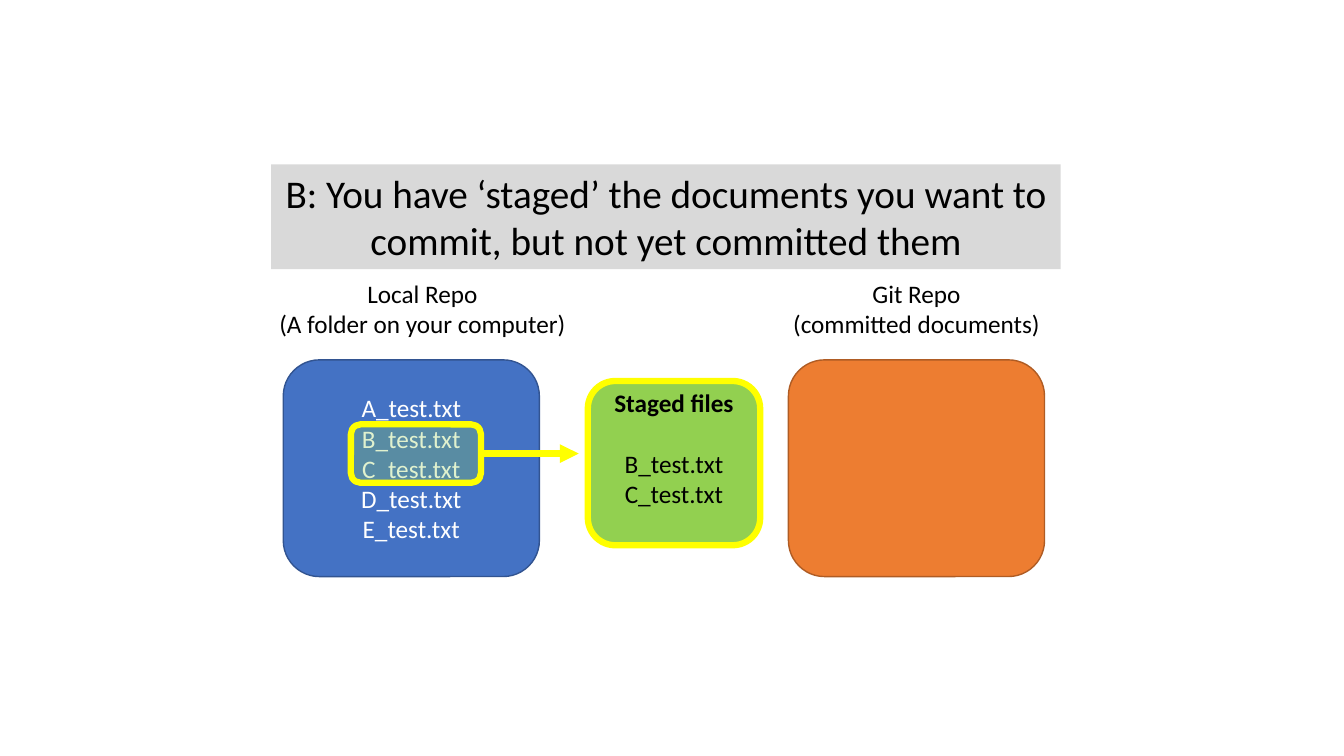
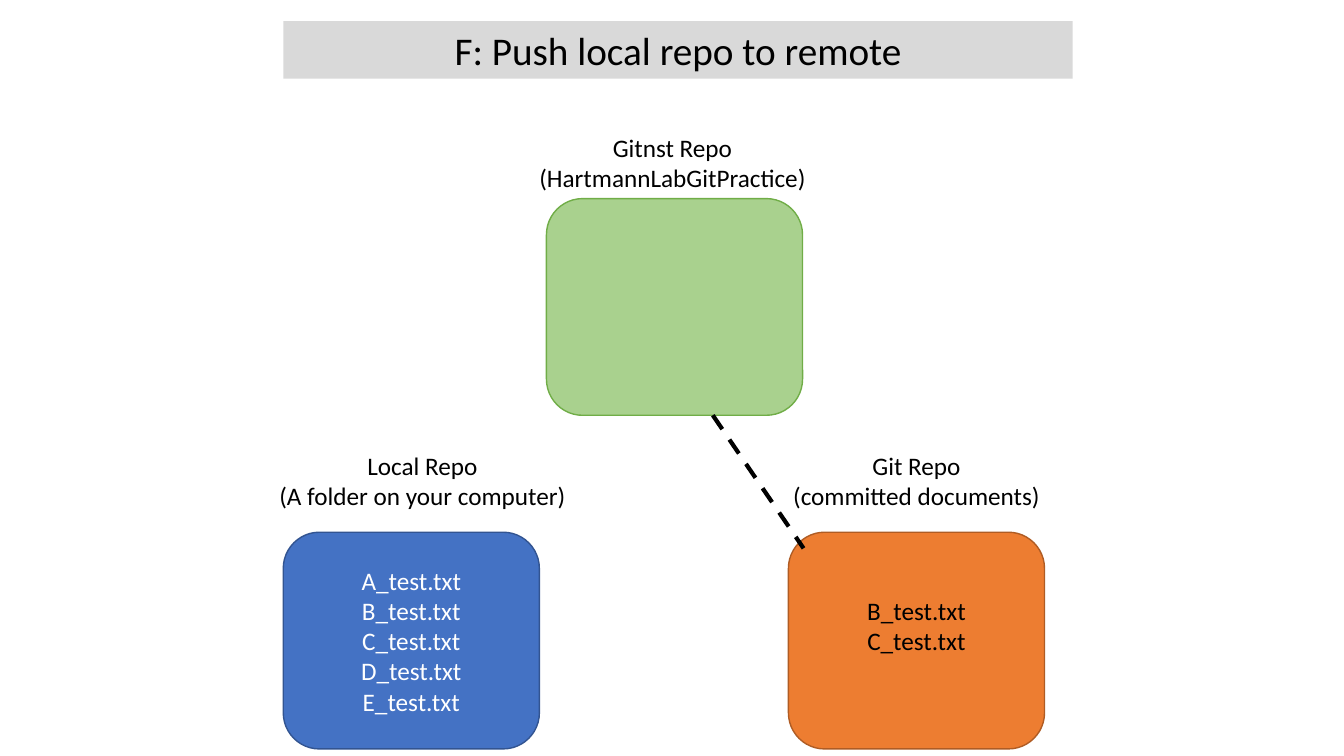
from dataclasses import dataclass

from lxml import etree
from pptx import Presentation
from pptx.dml.color import RGBColor
from pptx.enum.dml import MSO_LINE
from pptx.enum.shapes import MSO_CONNECTOR, MSO_SHAPE
from pptx.enum.text import MSO_ANCHOR, MSO_AUTO_SIZE, PP_ALIGN
from pptx.oxml.ns import qn
from pptx.util import Inches, Pt

ROUNDED = MSO_SHAPE.ROUNDED_RECTANGLE
STRAIGHT = MSO_CONNECTOR.STRAIGHT
DASH = MSO_LINE.DASH
CENTER = PP_ALIGN.CENTER
TOP, MIDDLE = MSO_ANCHOR.TOP, MSO_ANCHOR.MIDDLE
FIXED = MSO_AUTO_SIZE.NONE
TITLE_ONLY = 5


@dataclass(frozen=True)
class Theme:
    font: str = "Calibri"
    title_size: int = 28
    body_size: int = 18
    thin: float = 1
    dashed: float = 3
    thick: float = 4.5
    line_height: float = 22
    text: str = "000000"
    light_text: str = "FFFFFF"
    band: str = "D9D9D9"
    local: str = "4472C4"
    local_edge: str = "325491"
    git: str = "ED7D31"
    git_edge: str = "AF5C24"
    remote: str = "A9D18E"
    remote_edge: str = "70AD47"
    staged: str = "92D050"
    highlight: str = "FFFF00"


THEME = Theme()
REPO_W, REPO_H = 2.54, 2.15
LABEL_W, LABEL_H = 3.1, 0.71
LOCAL_X, GIT_X = 2.81, 7.82
LOCAL_FILES = [f"{letter}_test.txt" for letter in "ABCDE"]
CHOSEN_FILES = LOCAL_FILES[1:3]


def rgb(value):
    return RGBColor.from_string(value)


def write(tf, lines, size=THEME.body_size, color=THEME.text, anchor=TOP, bold_first=False,
          gap_first=0, lift=0):
    """Fill a frame with centred lines; lift raises the text area by that many points."""
    tf.word_wrap = True
    tf.auto_size = FIXED
    tf.vertical_anchor = anchor
    tf.margin_left = tf.margin_right = Inches(0.1)
    tf.margin_top, tf.margin_bottom = Inches(0.05), Inches(0.05) + Pt(lift)
    for i, line in enumerate(lines):
        p = tf.add_paragraph() if i else tf.paragraphs[0]
        p.alignment = CENTER
        p.space_after = Pt(0 if i else gap_first)
        r = p.add_run()
        r.text = line
        r.font.name = THEME.font
        r.font.size = Pt(size)
        r.font.bold = bold_first and i == 0
        r.font.color.rgb = rgb(color)


class Deck:
    def __init__(self):
        self.prs = Presentation()
        self.prs.slide_width, self.prs.slide_height = Inches(13.33), Inches(7.5)
        self.s = None

    def slide(self, title, left, top, height):
        self.s = self.prs.slides.add_slide(self.prs.slide_layouts[TITLE_ONLY])
        sp = self.s.shapes.title
        sp.left, sp.top = Inches(left), Inches(top)
        sp.width, sp.height = Inches(7.83), Inches(height)
        sp.fill.solid()
        sp.fill.fore_color.rgb = rgb(THEME.band)
        write(sp.text_frame, [title], size=THEME.title_size)

    def label(self, left, top, *lines):
        sp = self.s.shapes.add_textbox(Inches(left), Inches(top), Inches(LABEL_W), Inches(LABEL_H))
        write(sp.text_frame, lines)

    def box(self, left, top, width, height, fill, edge, weight=THEME.thin, opacity=None,
            lines=(), **text_format):
        sp = self.s.shapes.add_shape(ROUNDED, Inches(left), Inches(top),
                                     Inches(width), Inches(height))
        sp.shadow.inherit = False
        sp.fill.solid()
        sp.fill.fore_color.rgb = rgb(fill)
        sp.line.color.rgb = rgb(edge)
        sp.line.width = Pt(weight)
        if opacity is not None:
            color = sp.fill._xPr.find(qn("a:solidFill"))[0]
            etree.SubElement(color, qn("a:alpha")).set("val", str(opacity * 1000))
        write(sp.text_frame, lines, anchor=MIDDLE, **text_format)

    def repo(self, left, top, fill, edge, **text):
        self.box(left, top, REPO_W, REPO_H, fill, edge, **text)

    def local_and_git(self, top, committed=()):
        """Draw the two labelled repositories that every slide shows."""
        self.repo(LOCAL_X, top, THEME.local, THEME.local_edge,
                  lines=LOCAL_FILES, color=THEME.light_text)
        self.repo(GIT_X, top, THEME.git, THEME.git_edge,
                  lines=committed, lift=THEME.line_height)
        label_top = top - 0.86
        self.label(2.64, label_top, "Local Repo", "(A folder on your computer)")
        self.label(7.54, label_top, "Git Repo", "(committed documents)")

    def connect(self, start, end, color, weight, dash=None, arrow=False):
        cx = self.s.shapes.add_connector(STRAIGHT, *map(Inches, start + end))
        cx.line.color.rgb = rgb(color)
        cx.line.width = Pt(weight)
        if dash is not None:
            cx.line.dash_style = dash
        if arrow:
            etree.SubElement(cx.line._get_or_add_ln(), qn("a:tailEnd")).set("type", "triangle")
        etree.SubElement(cx._element.spPr, qn("a:effectLst"))


def staged_slide(deck):
    deck.slide("B: You have ‘staged’ the documents you want to commit, "
               "but not yet committed them", 2.69, 1.63, 1.04)
    deck.local_and_git(3.57)
    deck.box(3.48, 4.21, 1.29, 0.58, THEME.staged, THEME.highlight, THEME.thick, opacity=28)
    deck.connect((4.77, 4.5), (5.74, 4.5), THEME.highlight, THEME.thick, arrow=True)
    deck.box(5.83, 3.78, 1.71, 1.63, THEME.staged, THEME.highlight, THEME.thick,
             lines=["Staged files", *CHOSEN_FILES], bold_first=True,
             gap_first=THEME.line_height, lift=THEME.line_height)


def push_slide(deck):
    deck.slide("F: Push local repo to remote", 2.81, 0.21, 0.57)
    deck.local_and_git(5.28, CHOSEN_FILES)
    remote_top = 1.97
    deck.repo(5.42, remote_top, THEME.remote, THEME.remote_edge)
    deck.label(5.12, remote_top - LABEL_H, "Gitnst Repo", "(HartmannLabGitPractice)")
    deck.connect((7.07, remote_top + REPO_H), (7.97, 5.44), THEME.text, THEME.dashed, dash=DASH)


def main():
    deck = Deck()
    staged_slide(deck)
    push_slide(deck)
    deck.prs.save("out.pptx")


if __name__ == "__main__":
    main()
